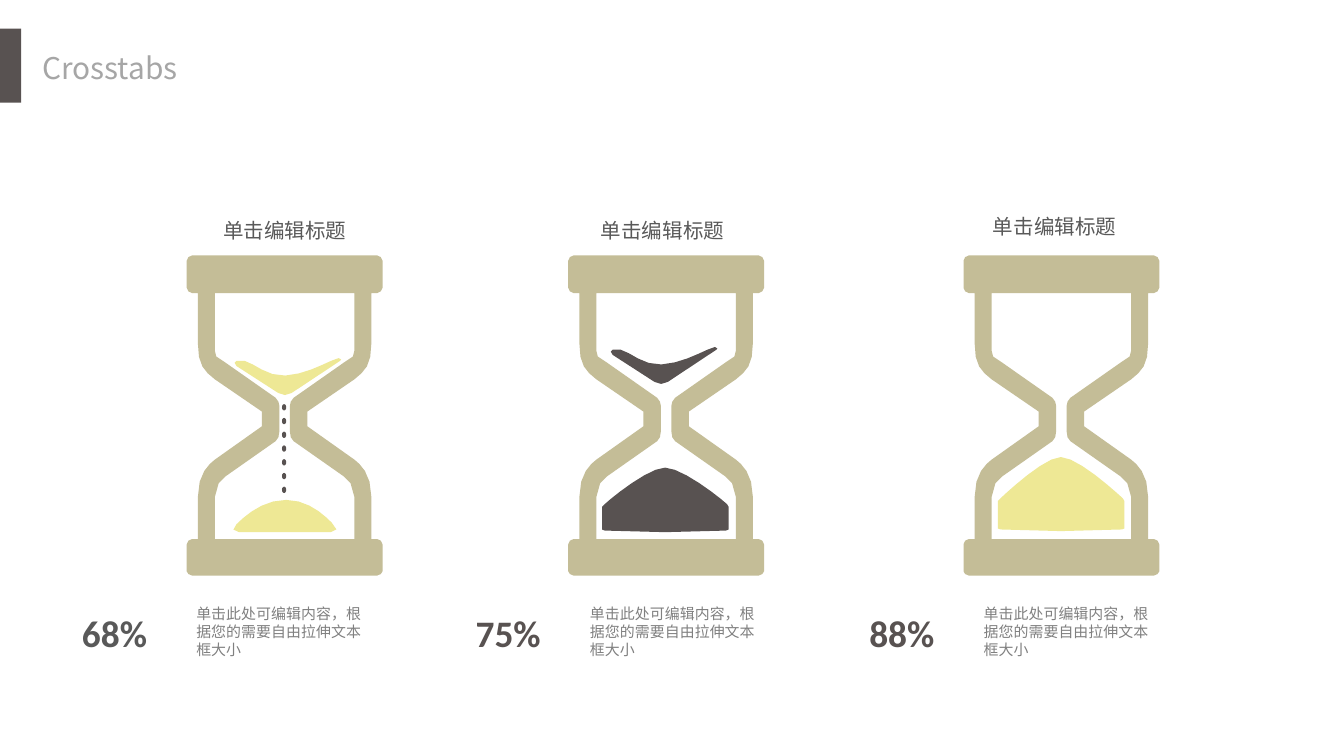
import dataclasses
import math

import pptx
import pptx.dml.color
import pptx.enum.shapes
import pptx.enum.text
import pptx.oxml.ns
import pptx.util
from lxml import etree

Cm = pptx.util.Cm
Pt = pptx.util.Pt
Kind = pptx.enum.shapes.MSO_SHAPE
Align = pptx.enum.text.PP_ALIGN
Anchor = pptx.enum.text.MSO_ANCHOR


@dataclasses.dataclass(frozen=True)
class Theme:
    """Hold the colours, fonts and type sizes."""
    dark: str = "585251"
    tan: str = "C4BD97"
    sand: str = "EEE895"
    pale: str = "A6A6A6"
    mid: str = "808080"
    grey: str = "595959"
    han: str = "Noto Sans CJK SC"
    latin: str = "Calibri"
    title: int = 16
    head: int = 11
    body: int = 8
    rate: int = 20


THEME = Theme()
SPAN = 37
SIDE = [
    (1, 0), (0.5, 0, 0, 0.5, 0, 1), (0, 6.1), (0, 6.6, 0.5, 7.1, 1, 7.1),
    (2.1, 7.1), (2.1, 16.5), (2.1, 20.8, 3.3, 21.8, 5.3, 23.4),
    (14.2, 29.5), (14.2, 32.3), (5.3, 38.6),
    (4.3, 39.4, 2.1, 41.1, 2.1, 45.7), (2.1, 53.6), (1, 53.6),
    (0.5, 53.6, 0, 54.1, 0, 54.6), (0, 59.7), (0, 60, 0.5, 60.5, 1, 60.5),
]
HOLE = [
    (5.3, 7.1), (5.3, 16.5), (5.3, 17.8, 5.3, 18.5, 5.6, 19.1), (7.1, 20.1),
    (16.8, 26.9), (17.3, 27.4, 17.5, 27.9, 17.5, 28.4), (17.5, 33.3),
    (17.5, 34, 17.3, 34.8, 16.8, 35.1), (7.4, 41.7),
    (6.6, 42.4, 5.3, 43.2, 5.3, 45.7), (5.3, 53.6),
]
DIP = [
    (20.1, 0.8), (20.1, 0.8, 20.6, 0.3, 19.8, 0.3),
    (17.8, 0.8, 14.2, 3.3, 9.7, 3.6), (5.3, 3.8, 3, 0, 0.5, 0.8),
    (0, 1, 0, 1.3, 0.5, 1.8), (8.4, 6.9), (9.4, 7.4, 9.9, 7.4, 10.9, 6.9),
]
DOME = [
    (1, 4.6), (0.3, 5.3, 0, 6.1, 1.5, 6.1), (18.8, 6.1),
    (20.6, 6.1, 19.8, 5.3, 19, 4.3), (17.5, 2.8, 14.5, 0, 10.4, 0),
    (6.1, 0, 2.8, 2.8, 1, 4.6),
]


def heap(rim, deep):
    """Return the outline of a tall heap with its rim and depth."""
    low = deep - 0.3
    return [
        (0.5, rim), (0, rim + 0.5), (0, low - 0.2), (0.5, low), (11.9, deep),
        (23.4, low), (23.9, low - 0.2), (23.9, rim + 0.5), (23.6, rim),
        (22.1, rim - 1.4, 15, 0, 11.9, 0), (8.9, 0, 2, rim - 1.4, 0.5, rim),
    ]


def trace(steps):
    """Turn line and cubic steps into a short list of points."""
    dots = []
    for step in steps:
        if len(step) == 2:
            dots.append(step)
            continue
        ends = [dots[-1], step[:2], step[2:4], step[4:]]
        count = max(2, min(6, round(math.dist(ends[0], ends[3]) / 2)))
        for part in range(1, count + 1):
            t = part / count
            mix = ((1 - t) ** 3, 3 * t * (1 - t) ** 2, 3 * t * t * (1 - t), t ** 3)
            dots.append(tuple(sum(m * e[axis] for m, e in zip(mix, ends)) for axis in (0, 1)))
    return dots


def mirror(steps):
    """Return a closed ring from its left half."""
    half = trace(steps)
    return half + [(SPAN - x, y) for x, y in reversed(half)]


def rgb(code):
    """Return a colour from its hex code."""
    return pptx.dml.color.RGBColor.from_string(code)


def paint(shape, code):
    """Give a shape a flat fill with no line or shadow."""
    shape.shadow.inherit = False
    shape.fill.solid()
    shape.fill.fore_color.rgb = rgb(code)
    shape.line.fill.background()
    return shape


def draw(slide, left, top, rings, code):
    """Draw rings given in millimetres from a corner."""
    rings = [[(Cm(x / 10), Cm(y / 10)) for x, y in ring] for ring in rings]
    pen = slide.shapes.build_freeform(*rings[0][0])
    for ring in rings:
        if ring is not rings[0]:
            pen.move_to(*ring[0])
        pen.add_line_segments(ring[1:], close=True)
    return paint(pen.convert_to_shape(Cm(left), Cm(top)), code)


def write(shape, text, size, code, face, bold=False, align=Align.LEFT, wrap=True):
    """Set and format the text of a shape."""
    frame = shape.text_frame
    frame.text = text
    frame.word_wrap = wrap
    para = frame.paragraphs[0]
    para.alignment = align
    para.line_spacing = Pt(round(size * 1.21, 1))
    font = para.runs[0].font
    font.size, font.bold, font.name = Pt(size), bold, face
    font.color.rgb = rgb(code)
    east = etree.SubElement(para.runs[0]._r.get_or_add_rPr(), pptx.oxml.ns.qn("a:ea"))
    east.set("typeface", face)
    return frame


def label(slide, box, *args, **more):
    """Add a text box with formatted text."""
    shape = slide.shapes.add_textbox(*map(Cm, box))
    write(shape, *args, **more)
    return shape


def banner(slide, left, top):
    """Place the side bar and the slide title."""
    bar = slide.shapes.add_shape(Kind.RECTANGLE, Cm(left), Cm(top), Cm(0.4), Cm(1.4))
    paint(bar, THEME.dark)
    title = slide.shapes.title
    title.left, title.top = Cm(left + 0.6), Cm(top + 0.28)
    title.width, title.height = Cm(3.02), Cm(0.89)
    frame = write(title, "Crosstabs", THEME.title, THEME.pale, THEME.han, wrap=False)
    frame.vertical_anchor = Anchor.MIDDLE
    frame.margin_left = frame.margin_right = Cm(0.2)
    frame.margin_top = frame.margin_bottom = Cm(0.1)


def glass(slide, left, top, piles, drops):
    """Place an hourglass with its sand and falling drops."""
    rings = [mirror(SIDE), mirror(HOLE)[::-1]]
    parts = [draw(slide, left, top, rings, THEME.tan)]
    for x, y, steps, code in piles:
        parts.append(draw(slide, left + x, top + y, [trace(steps)], code))
    for drop in range(drops):
        high = top + 2.81 + 0.26 * drop
        dot = slide.shapes.add_shape(Kind.OVAL, Cm(left + 1.8), Cm(high), Cm(0.08), Cm(0.12))
        parts.append(paint(dot, THEME.dark))
    slide.shapes.add_group_shape(parts)


def note(slide, left, top, rate, code):
    """Place a percentage beside its caption."""
    text = "单击此处可编辑内容，根据您的需要自由拉伸文本框大小"
    body = label(slide, (left + 2.16, top, 3.68, 1.27), text, THEME.body, THEME.mid, THEME.han)
    mark = label(slide, (left, top + 0.1, 1.75, 1.12), rate, THEME.rate, code,
                 THEME.latin, bold=True, wrap=False)
    slide.shapes.add_group_shape([body, mark])


def main():
    """Build the slide and save it."""
    deck = pptx.Presentation()
    deck.slide_width, deck.slide_height = Cm(25.4), Cm(14.29)
    slide = deck.slides.add_slide(deck.slide_layouts[5])
    banner(slide, 0, 0.54)
    dip = [(0.89, 1.91, DIP, THEME.sand), (0.84, 4.62, DOME, THEME.sand)]
    full = [(0.64, 4.01, heap(6.9, 12.2), THEME.dark), (0.79, 1.7, DIP, THEME.dark)]
    done = [(0.65, 3.81, heap(7.8, 14), THEME.sand)]
    items = [
        (3.53, 3.38, 4.01, dip, 7, "68%", THEME.grey),
        (10.74, 10.52, 4.01, full, 0, "75%", THEME.dark),
        (18.21, 17.93, 3.94, done, 0, "88%", THEME.dark),
    ]
    for spot, (left, edge, top, piles, drops, rate, code) in enumerate(items):
        head = label(slide, (edge, top, 4.01, 0.89), "单击编辑标题", THEME.head,
                     THEME.grey, THEME.han, align=Align.CENTER)
        head.text_frame.margin_top = head.text_frame.margin_bottom = Cm(0.1)
        glass(slide, left, 4.83, piles, drops)
        note(slide, 1.3 + 7.44 * spot, 11.3, rate, code)
    deck.save("out.pptx")


main()
